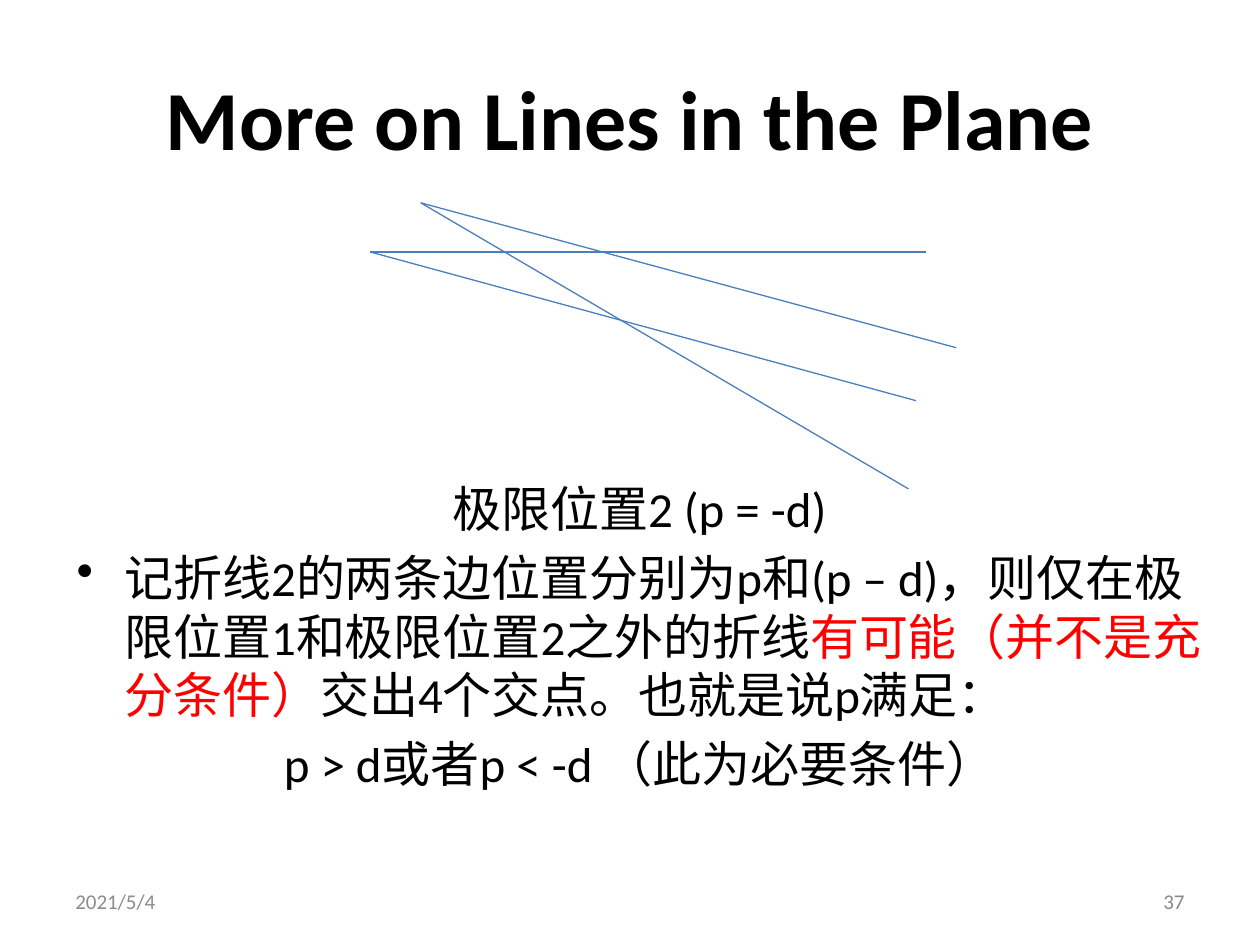
"""Build the slide on two bent lines at their limit position."""
from typing import NamedTuple

from lxml.etree import SubElement
from pptx import Presentation
from pptx.dml.color import RGBColor
from pptx.enum.shapes import MSO_CONNECTOR
from pptx.enum.text import MSO_ANCHOR, PP_ALIGN
from pptx.oxml.ns import qn
from pptx.util import Inches, Pt

FONT = "Calibri"
BLACK, RED, BLUE = "000000", "FF0000", "4B7EBC"
BODY_SIZE = 28
HANGING = Inches(0.38)


class Box(NamedTuple):
    left: float
    top: float
    width: float
    height: float


class Label(NamedTuple):
    text: str
    box: Box
    size: int
    color: str
    align: PP_ALIGN
    bold: bool = False


class Statement(NamedTuple):
    runs: list[tuple[str, str]]
    bulleted: bool = False
    space_before: float = BODY_SIZE * 0.2


class BentLine(NamedTuple):
    vertex: tuple[float, float]
    ends: list[tuple[float, float]]


LABELS = [
    Label("More on Lines in the Plane", Box(0.5, 0.3, 9, 1.25), 48, BLACK, PP_ALIGN.CENTER, True),
    Label("2021/5/4", Box(0.5, 6.95, 2.33, 0.4), 12, "8C8C8C", PP_ALIGN.LEFT),
    Label("37", Box(7.17, 6.95, 2.33, 0.4), 12, "898989", PP_ALIGN.RIGHT),
]
STATEMENTS = [
    Statement([("极限位置2 (p = -d)", BLACK)], space_before=0),
    Statement([
        ("记折线2的两条边位置分别为p和(p – d)，则仅在极限位置1和极限位置2之外的折线", BLACK),
        ("有可能（并不是充分条件）", RED),
        ("交出4个交点。也就是说p满足：", BLACK),
    ], bulleted=True),
    Statement([("p > d或者p < -d （此为必要条件）", BLACK)]),
]
BENT_LINES = [
    BentLine((2.94, 2), [(7.35, 2), (7.27, 3.18)]),
    BentLine((3.34, 1.61), [(7.59, 2.76), (7.21, 3.88)]),
]


def rgb(color: str) -> RGBColor:
    """Turn a hex string into a colour."""
    return RGBColor.from_string(color)


def add_frame(slide, box: Box):
    """Add a wrapping text box and return its text frame."""
    frame = slide.shapes.add_textbox(*map(Inches, box)).text_frame
    frame.word_wrap = True
    return frame


def set_font(paragraph, size: int, bold: bool = False) -> None:
    """Set the shared font of a paragraph."""
    paragraph.font.name = FONT
    paragraph.font.size = Pt(size)
    paragraph.font.bold = bold


def draw_label(slide, label: Label) -> None:
    """Draw a one-line label centred vertically in its box."""
    frame = add_frame(slide, label.box)
    frame.vertical_anchor = MSO_ANCHOR.MIDDLE
    paragraph = frame.paragraphs[0]
    paragraph.text = label.text
    paragraph.alignment = label.align
    set_font(paragraph, label.size, label.bold)
    paragraph.font.color.rgb = rgb(label.color)


def draw_statements(slide, box: Box, statements: list[Statement]) -> None:
    """Draw the body text with hanging indents."""
    frame = add_frame(slide, box)
    for index, statement in enumerate(statements):
        paragraph = frame.add_paragraph() if index else frame.paragraphs[0]
        paragraph.alignment = PP_ALIGN.LEFT if statement.bulleted else PP_ALIGN.CENTER
        paragraph.space_before = Pt(statement.space_before)
        set_font(paragraph, BODY_SIZE)
        for text, color in statement.runs:
            run = paragraph.add_run()
            run.text = text
            run.font.color.rgb = rgb(color)
        properties = paragraph._p.get_or_add_pPr()
        properties.set("marL", str(HANGING))
        properties.set("indent", str(-HANGING))
        if statement.bulleted:
            bullet = properties.makeelement(qn("a:buChar"), {"char": "•"})
            properties.find(qn("a:defRPr")).addprevious(bullet)


def draw_bent_line(slide, bent_line: BentLine) -> None:
    """Draw the two sides that leave the vertex of a bent line."""
    for end in bent_line.ends:
        side = slide.shapes.add_connector(
            MSO_CONNECTOR.STRAIGHT, *map(Inches, (*bent_line.vertex, *end)))
        side.line.color.rgb = rgb(BLUE)
        side.line.width = Pt(0.75)
        SubElement(side._element.spPr, qn("a:effectLst"))


def main() -> None:
    """Build and save the slide."""
    deck = Presentation()
    deck.slide_width, deck.slide_height = Inches(10), Inches(7.5)
    slide = deck.slides.add_slide(deck.slide_layouts[6])
    for label in LABELS:
        draw_label(slide, label)
    draw_statements(slide, Box(0.51, 3.75, 9.13, 3.2), STATEMENTS)
    for bent_line in BENT_LINES:
        draw_bent_line(slide, bent_line)
    deck.save("out.pptx")


main()
